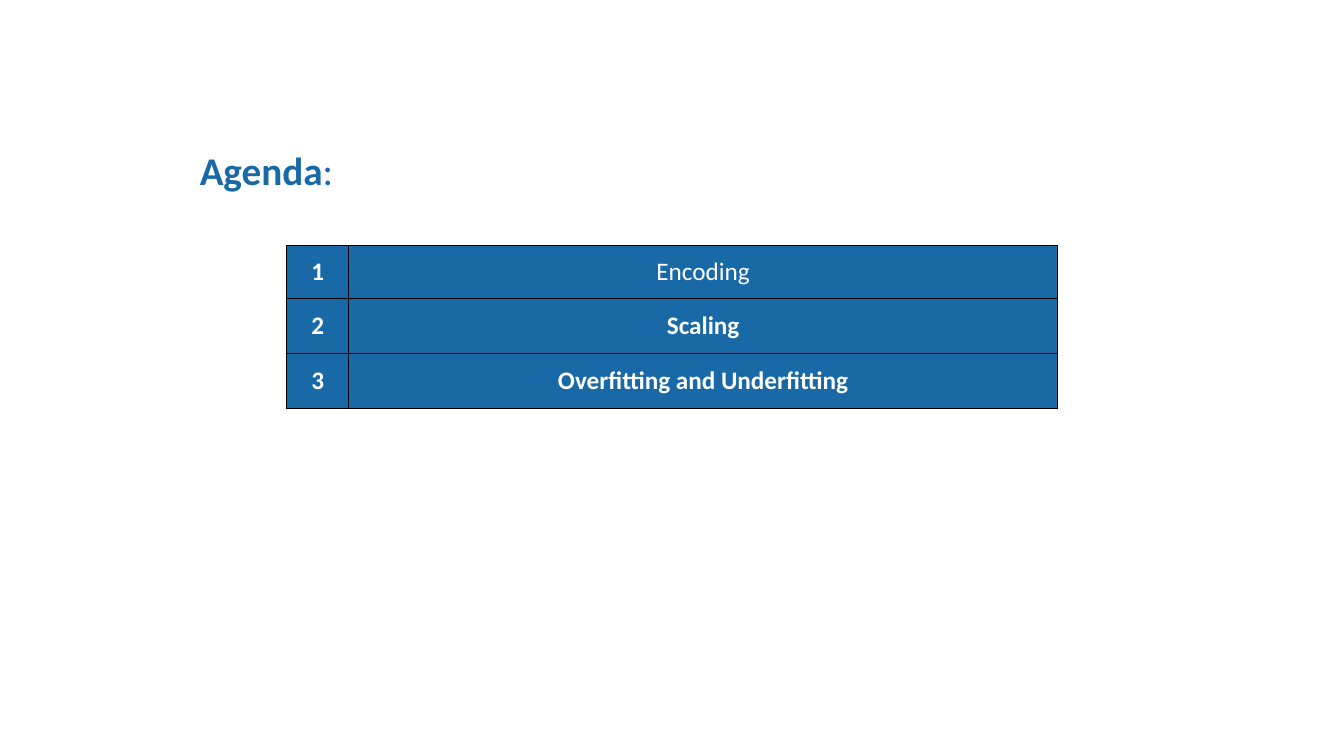
import pptx
import pptx.dml.color
import pptx.enum.text
import pptx.oxml
import pptx.oxml.ns
import pptx.util
from pptx.util import Cm

COLORS = {"blue": "1869A6", "white": "FFFFFF", "black": "000000"}


class AgendaSlide:
    font = "Calibri"

    def __init__(self, prs):
        self.s = prs.slides.add_slide(prs.slide_layouts[5])

    def rgb(self, name):
        return pptx.dml.color.RGBColor.from_string(COLORS[name])

    def style(self, r, size, color, bold):
        r.font.name = self.font
        r.font.size = pptx.util.Pt(size)
        r.font.bold = bold
        r.font.color.rgb = self.rgb(color)

    def title(self, parts, left, top, width, height):
        sp = self.s.shapes.title
        sp.left, sp.top, sp.width, sp.height = left, top, width, height
        tf = sp.text_frame
        tf.word_wrap = True
        tf.auto_size = pptx.enum.text.MSO_AUTO_SIZE.NONE
        tf.vertical_anchor = pptx.enum.text.MSO_ANCHOR.TOP
        p = tf.paragraphs[0]
        p.alignment = pptx.enum.text.PP_ALIGN.LEFT
        for text, bold in parts:
            r = p.add_run()
            r.text = text
            self.style(r, 28, "blue", bold)

    def border(self, cell):
        tcPr = cell._tc.get_or_add_tcPr()
        for side in "LRTB":
            tcPr.append(pptx.oxml.parse_xml(
                f'<a:ln{side} {pptx.oxml.ns.nsdecls("a")} w="12700"><a:solidFill>'
                f'<a:srgbClr val="{COLORS["black"]}"/></a:solidFill></a:ln{side}>'))

    def cell(self, cell, text, bold):
        self.border(cell)
        cell.fill.solid()
        cell.fill.fore_color.rgb = self.rgb("blue")
        cell.vertical_anchor = pptx.enum.text.MSO_ANCHOR.MIDDLE
        cell.text_frame.text = text
        p = cell.text_frame.paragraphs[0]
        p.alignment = pptx.enum.text.PP_ALIGN.CENTER
        self.style(p.runs[0], 18, "white", bold)

    def table(self, topics, left, top, widths, heights):
        table = self.s.shapes.add_table(
            len(topics), len(widths), left, top, sum(widths), sum(heights)).table
        for column, width in zip(table.columns, widths):
            column.width = width
        for i, (topic, bold) in enumerate(topics):
            table.rows[i].height = heights[i]
            self.cell(table.cell(i, 0), str(i + 1), True)
            self.cell(table.cell(i, 1), topic, bold)


def main():
    prs = pptx.Presentation()
    prs.slide_width, prs.slide_height = Cm(33.87), Cm(19.05)
    slide = AgendaSlide(prs)
    slide.title([("Agenda", True), (":", False)],
                Cm(4.78), Cm(3.56), Cm(4.85), Cm(1.45))
    topics = [("Encoding", False), ("Scaling", True),
              ("Overfitting and Underfitting", True)]
    slide.table(topics, Cm(7.22), Cm(6.18), [Cm(1.57), Cm(17.86)],
                [Cm(1.35), Cm(1.38), Cm(1.38)])
    prs.save("out.pptx")


if __name__ == "__main__":
    main()
